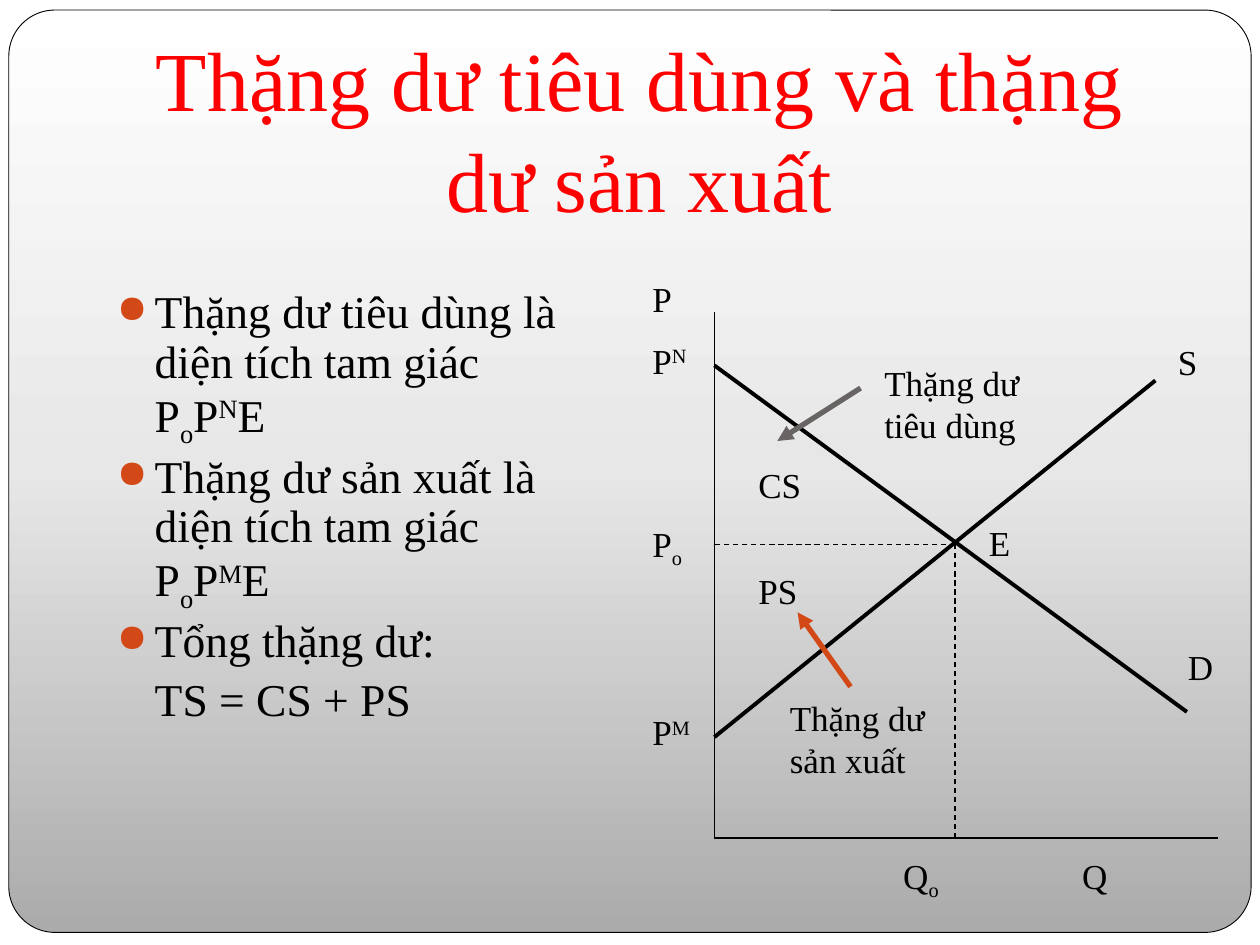
"""Build a slide on consumer and producer surplus with a supply and demand graph."""
from copy import deepcopy

from lxml.etree import SubElement
from pptx import Presentation
from pptx.dml.color import RGBColor as Rgb
from pptx.enum.dml import MSO_LINE as Dash
from pptx.enum.shapes import MSO_CONNECTOR as Link, MSO_SHAPE as Form
from pptx.enum.text import MSO_ANCHOR as Anchor, PP_ALIGN as Align
from pptx.oxml.ns import qn
from pptx.util import Inches, Pt

INK = {"black": "000000", "white": "FFFFFF", "red": "FF0000", "rust": "D34817",
       "slate": "696464", "pale": "E7E7E7", "gray": "ABABAB"}
SHIFT = {"_": "-25000", "^": "30000"}


def tint(name):
    return Rgb.from_string(INK[name])


class Deck:
    """Hold the style and the current slide."""

    def __init__(self, font, size):
        self.font, self.size = font, size
        self.prs = Presentation()
        self.prs.slide_width, self.prs.slide_height = Inches(10), Inches(7.5)
        self.slide = self.prs.slides.add_slide(self.prs.slide_layouts[5])
        self.shapes = self.slide.shapes
        fill = self.slide.background.fill
        fill.solid()
        fill.fore_color.rgb = tint("white")

    def place(self, box):
        return [Inches(n) for n in box]

    def style(self, font, size, ink="black"):
        font.name, font.size, font.color.rgb = self.font, Pt(size), tint(ink)

    def frame(self, box, stops):
        shape = self.shapes.add_shape(Form.ROUNDED_RECTANGLE, *self.place(box))
        shape.adjustments[0] = 0.05
        shape.shadow.inherit = False
        shape.line.color.rgb, shape.line.width = tint("black"), Pt(0.5)
        shape.fill.gradient()
        shape.fill.gradient_angle = 90
        first = next(shape._element.iter(qn("a:gs")))
        first.addnext(deepcopy(first))
        for stop, (spot, ink) in zip(shape.fill.gradient_stops, stops):
            stop.position, stop.color.rgb = spot, tint(ink)
        self.shapes._spTree.insert(2, shape._element)

    def title(self, box, text, size, ink):
        head = self.shapes.title
        head.left, head.top, head.width, head.height = self.place(box)
        frame = head.text_frame
        frame.text, frame.word_wrap = text, True
        frame.vertical_anchor, frame.margin_bottom = Anchor.BOTTOM, Inches(0.1)
        para = frame.paragraphs[0]
        para.alignment = Align.CENTER
        self.style(para.runs[0].font, size, ink)

    def spell(self, para, text, size):
        for part in text.split("|"):
            run = para.add_run()
            run.text = part.lstrip("_^")
            self.style(run.font, size)
            if part[0] in SHIFT:
                run._r.get_or_add_rPr().set("baseline", SHIFT[part[0]])

    def label(self, box, lines, size=None, gaps=()):
        frame = self.shapes.add_textbox(*self.place(box)).text_frame
        frame.word_wrap = True
        for i, text in enumerate(lines):
            para = frame.add_paragraph() if i else frame.paragraphs[0]
            if i:
                para.space_before = Pt(gaps[i - 1])
            self.spell(para, text, size or self.size)
        return frame.paragraphs

    def bullet(self, para, ink, mark):
        props = para._p.get_or_add_pPr()
        props.set("marL", str(Inches(0.3)))
        if not mark:
            return
        props.set("indent", str(Inches(-0.3)))
        color = SubElement(props, qn("a:buClr"))
        SubElement(color, qn("a:srgbClr"), val=INK[ink])
        SubElement(props, qn("a:buSzPct"), val="85000")
        SubElement(props, qn("a:buChar"), char="●")

    def points(self, box, lines, size, ink, plain):
        paras = self.label(box, lines, size, [5.8] * (len(lines) - 1))
        for i, para in enumerate(paras):
            para.line_spacing = 0.9
            self.bullet(para, ink, i not in plain)

    def line(self, start, end, width, ink="black", dash=False, arrow=False):
        line = self.shapes.add_connector(Link.STRAIGHT, *self.place(start + end))
        line.line.color.rgb, line.line.width = tint(ink), Pt(width)
        if dash:
            line.line.dash_style = Dash.DASH
        props = line._element.spPr
        if arrow:
            SubElement(props.find(qn("a:ln")), qn("a:tailEnd"), type="triangle")
        SubElement(props, qn("a:effectLst"))


def main():
    deck = Deck("Times New Roman", 20)
    deck.frame((0.07, 0.08, 9.86, 7.32),
               [(0, "gray"), (0.5, "pale"), (1, "white")])
    deck.title((0.83, 0.6, 8.49, 1.32),
               "Thặng dư tiêu dùng và thặng dư sản xuất", 48, "red")
    deck.points((0.83, 2.25, 3.96, 4.5), [
        "Thặng dư tiêu dùng là diện tích tam giác P|_o|P|^N|E",
        "Thặng dư sản xuất là diện tích tam giác P|_o|P|^M|E",
        "Tổng thặng dư:",
        "TS = CS + PS"], 26, "rust", plain={3})

    left, base = 5.67, 6.65
    mid = (7.58, 4.32)
    for end in ((left, 2.48), (9.67, base)):
        deck.line((left, base), end, 0.75)
    deck.line((left, 2.9), (9.42, 5.65), 2.25)
    deck.line((left, 5.85), (9.17, 3.02), 2.25)
    for end in ((left, mid[1]), (mid[0], base)):
        deck.line(mid, end, 0.75, dash=True)

    deck.label((5.08, 2.15, 0.67, 3.93), ["P", "P|^N", "P|_o", "P|^M"],
               gaps=(11.5, 80.5, 80.5))
    for x, y, wide, text in (
            (7.07, 6.73, 0.6, "Q|_o"), (8.49, 6.73, 0.5, "Q"),
            (9.33, 5.07, 0.4, "D"), (9.25, 2.65, 0.33, "S"),
            (7.75, 4.09, 0.5, "E"),
            (5.92, 3.63, 0.83, "CS"), (5.92, 4.47, 0.83, "PS")):
        deck.label((x, y, wide, 0.43), [text])
    deck.label((6.92, 2.82, 1.5, 0.77), ["Thặng dư tiêu dùng"])
    deck.label((6.17, 5.48, 1.5, 0.77), ["Thặng dư sản xuất"])
    deck.line((6.83, 3.08), (6.17, 3.5), 3, "slate", arrow=True)
    deck.line((6.75, 5.45), (6.33, 4.86), 3, "rust", arrow=True)
    deck.prs.save("out.pptx")


if __name__ == "__main__":
    main()
